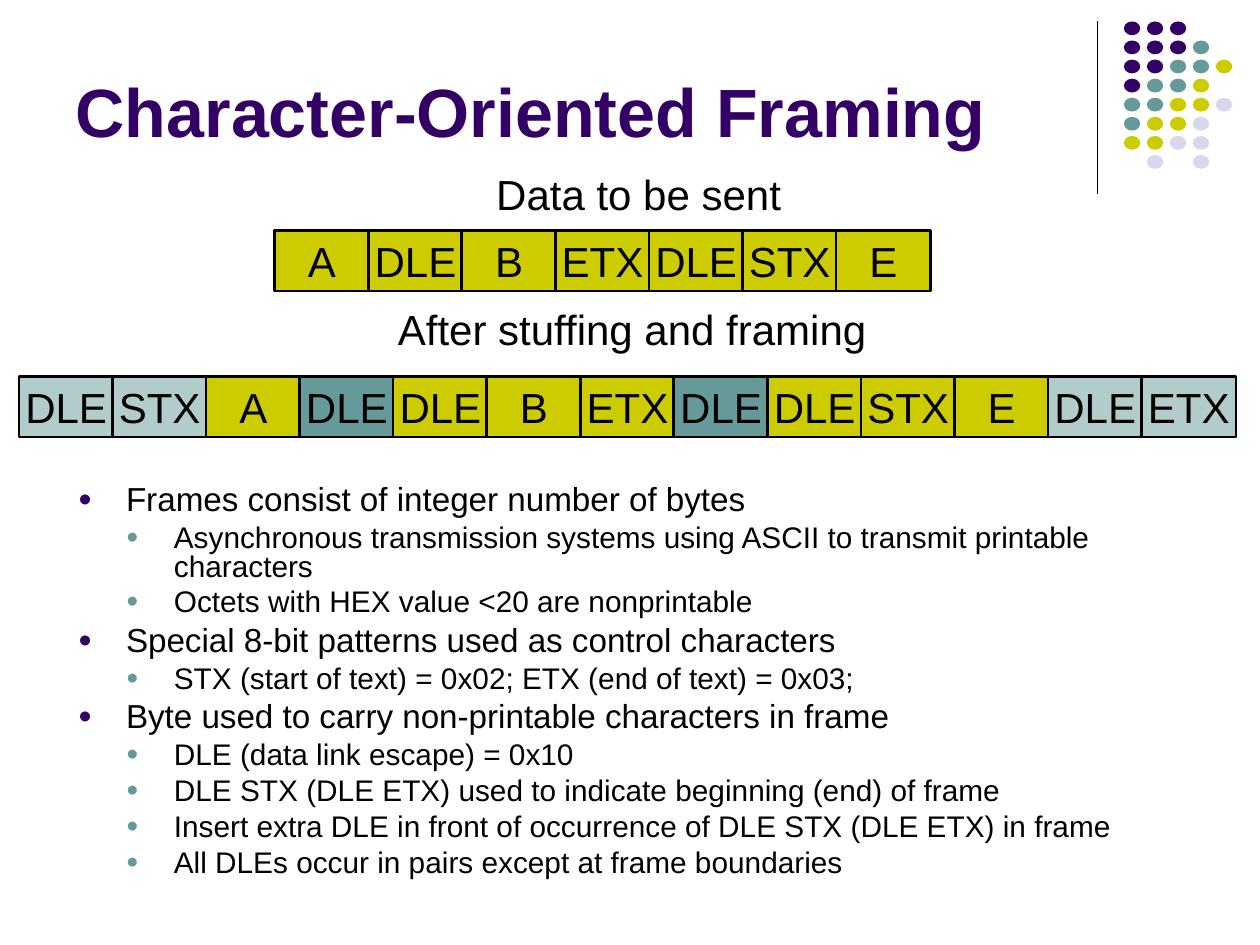
"""Build the slide on character-oriented framing with byte stuffing."""
from dataclasses import dataclass

from lxml.etree import SubElement
from pptx import Presentation
from pptx.dml.color import RGBColor
from pptx.enum.shapes import MSO_CONNECTOR, MSO_SHAPE
from pptx.enum.text import MSO_ANCHOR, MSO_AUTO_SIZE, PP_ALIGN
from pptx.oxml.ns import qn
from pptx.util import Inches, Pt


@dataclass(frozen=True)
class Theme:
    font: str = "Arial"
    ink: str = "000000"
    purple: str = "330066"
    teal: str = "669999"
    olive: str = "CCCC00"
    lavender: str = "D8D8EC"
    pale: str = "B1CCCB"
    title_size: int = 39
    label_size: int = 24
    body_sizes: tuple = (19, 17)
    body_gaps: tuple = (4.8, 4.2)


theme = Theme()


def style(paragraph, size, color=theme.ink, bold=False):
    paragraph.font.name = theme.font
    paragraph.font.size = Pt(size)
    paragraph.font.bold = bold
    paragraph.font.color.rgb = RGBColor.from_string(color)


def add_filled(kind, left, top, width, height, color):
    shape = page.shapes.add_shape(kind, Inches(left), Inches(top), Inches(width), Inches(height))
    shape.shadow.inherit = False
    shape.fill.solid()
    shape.fill.fore_color.rgb = RGBColor.from_string(color)
    shape.line.fill.background()
    return shape


deck = Presentation()
deck.slide_width, deck.slide_height = Inches(10), Inches(7.5)
page = deck.slides.add_slide(deck.slide_layouts[1])

divider = page.shapes.add_connector(
    MSO_CONNECTOR.STRAIGHT, Inches(8.71), Inches(0.17), Inches(8.71), Inches(1.54))
divider.line.color.rgb = RGBColor.from_string(theme.ink)
divider.line.width = Pt(0.75)
SubElement(divider._element.spPr, qn("a:effectLst"))

dot_colors = {"P": theme.purple, "T": theme.teal, "O": theme.olive, "L": theme.lavender}
dot_rows = ["PPP", "PPPT", "PPTTO", "PTTO", "TTOOL", "TOOL", "OOLL", ".L.L"]
dot_column, dot_row = 0.73 / 4, 1.06 / 7
for row, letters in enumerate(dot_rows):
    for column, letter in enumerate(letters):
        if letter in dot_colors:
            add_filled(MSO_SHAPE.OVAL, 8.92 + column * dot_column, 0.17 + row * dot_row,
                       0.13, 0.11, dot_colors[letter])

title = page.shapes.title
title.left, title.top, title.width, title.height = (Inches(n) for n in (0.5, 0.13, 8.25, 1.12))
title.text_frame.text = "Character-Oriented Framing"
title.text_frame.auto_size = MSO_AUTO_SIZE.NONE
title.text_frame.vertical_anchor = MSO_ANCHOR.BOTTOM
title.text_frame.paragraphs[0].alignment = PP_ALIGN.LEFT
style(title.text_frame.paragraphs[0], theme.title_size, theme.purple, bold=True)

captions = [("Data to be sent", 3.84, 1.29, 2.46), ("After stuffing and framing", 3.06, 2.36, 3.92)]
for text, left, top, width in captions:
    box = page.shapes.add_textbox(Inches(left), Inches(top), Inches(width), Inches(0.5))
    box.text_frame.word_wrap = False
    box.text_frame.text = text
    style(box.text_frame.paragraphs[0], theme.label_size)

byte_colors = {"d": theme.olive, "s": theme.teal, "f": theme.pale}
byte_rows = [
    (2.18, 1.83, "A DLE B ETX DLE STX E", "ddddddd"),
    (0.15, 2.99, "DLE STX A DLE DLE B ETX DLE DLE STX E DLE ETX", "ffdsdddsdddff"),
]
byte_column = 8.91 / 12
for left, top, names, roles in byte_rows:
    for column, (name, role) in enumerate(zip(names.split(), roles)):
        cell = add_filled(MSO_SHAPE.RECTANGLE, left + column * byte_column, top,
                          0.75, 0.48, byte_colors[role])
        cell.line.color.rgb = RGBColor.from_string(theme.ink)
        cell.line.width = Pt(1.5)
        cell.text_frame.word_wrap = False
        cell.text_frame.vertical_anchor = MSO_ANCHOR.MIDDLE
        cell.text_frame.text = name
        cell.text_frame.paragraphs[0].alignment = PP_ALIGN.CENTER
        style(cell.text_frame.paragraphs[0], theme.label_size)

points = [
    (0, "Frames consist of integer number of bytes"),
    (1, "Asynchronous transmission systems using ASCII to transmit printable characters"),
    (1, "Octets with HEX value <20 are nonprintable"),
    (0, "Special 8-bit patterns used as control characters"),
    (1, "STX (start of text) = 0x02; ETX (end of text) = 0x03;"),
    (0, "Byte used to carry non-printable characters in frame"),
    (1, "DLE (data link escape) = 0x10"),
    (1, "DLE STX (DLE ETX) used to indicate beginning (end) of frame"),
    (1, "Insert extra DLE in front of occurrence of DLE STX (DLE ETX) in frame"),
    (1, "All DLEs occur in pairs except at frame boundaries"),
]
indent = Inches(0.38)
body = page.placeholders[1]
body.left, body.top, body.width, body.height = (Inches(n) for n in (0.52, 3.81, 8.98, 3.3))
body.text_frame.auto_size = MSO_AUTO_SIZE.NONE
body.text_frame.text = "\n".join(text for level, text in points)
for index, (level, text) in enumerate(points):
    paragraph = body.text_frame.paragraphs[index]
    paragraph.level = level
    properties = paragraph._p.get_or_add_pPr()
    properties.set("marL", str(indent * (level + 1)))
    properties.set("indent", str(-indent))
    bullet_color = SubElement(properties, qn("a:buClr"))
    SubElement(bullet_color, qn("a:srgbClr"), val=(theme.purple, theme.teal)[level])
    SubElement(properties, qn("a:buSzPct"), val="70000")
    SubElement(properties, qn("a:buFont"), typeface=theme.font)
    SubElement(properties, qn("a:buChar"), char="●")
    paragraph.line_spacing = 0.8
    paragraph.space_before = Pt(theme.body_gaps[level] if index else 0)
    style(paragraph, theme.body_sizes[level])

deck.save("out.pptx")
